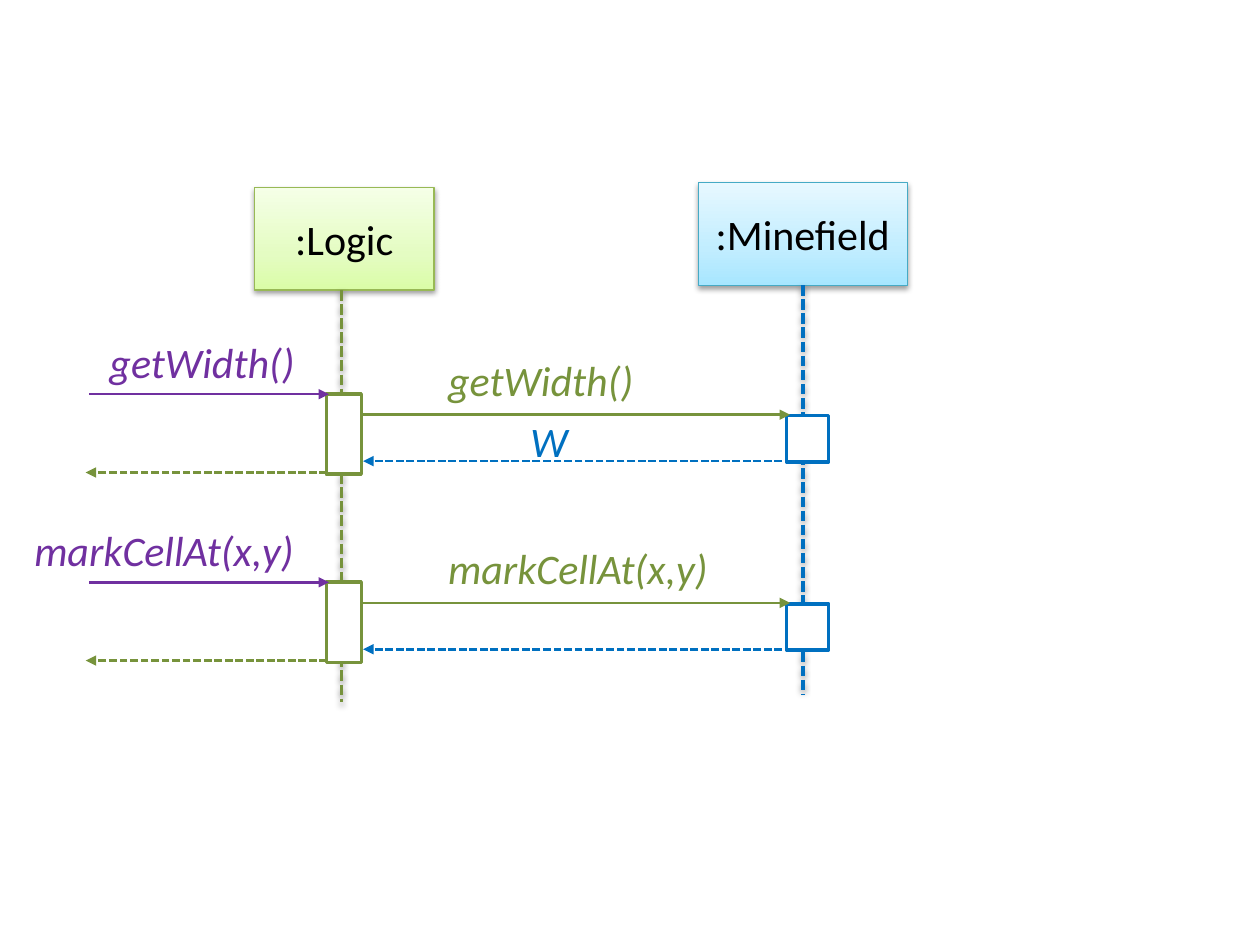
from copy import deepcopy
from dataclasses import dataclass

from pptx import Presentation
from pptx.dml.color import RGBColor
from pptx.enum.dml import MSO_LINE
from pptx.enum.shapes import MSO_CONNECTOR, MSO_SHAPE
from pptx.enum.text import MSO_ANCHOR, PP_ALIGN
from pptx.oxml import parse_xml
from pptx.oxml.ns import nsdecls, qn
from pptx.util import Pt


@dataclass(frozen=True)
class Theme:
    font: str = "Calibri"
    size: float = 24
    thin: float = 1.5
    thick: float = 2
    black: str = "000000"
    white: str = "FFFFFF"
    green: str = "77933C"
    blue: str = "0070C0"
    purple: str = "7030A0"
    lime: tuple = ("DAFDA7", "E4FCC2", "F5FFE7")
    lime_edge: str = "98B955"
    sky: tuple = ("A7E6FF", "C1EDFF", "E7F8FF")
    sky_edge: str = "46AAC5"


THEME = Theme()
rgb = RGBColor.from_string


def add_effect(shape, shadow):
    """Give a shape a soft shadow, or an empty effect list."""
    inner = (
        '<a:outerShdw blurRad="40000" dist="20000" dir="5400000" rotWithShape="0">'
        '<a:srgbClr val="000000"><a:alpha val="38000"/></a:srgbClr></a:outerShdw>'
    ) if shadow else ""
    props = shape._element.spPr
    props.append(parse_xml(f"<a:effectLst {nsdecls('a')}>{inner}</a:effectLst>"))


def add_line(slide, start, end, color, width, dashed=False, arrow=False, shadow=False):
    ends = [Pt(v) for v in (*start, *end)]
    link = slide.shapes.add_connector(MSO_CONNECTOR.STRAIGHT, *ends)
    link.line.color.rgb = rgb(color)
    link.line.width = Pt(width)
    if dashed:
        link.line.dash_style = MSO_LINE.SQUARE_DOT
    if arrow:
        stroke = link._element.spPr.find(qn("a:ln"))
        stroke.append(parse_xml(f'<a:tailEnd {nsdecls("a")} type="triangle"/>'))
    add_effect(link, shadow)


def add_rect(slide, box, edge, width):
    rect = slide.shapes.add_shape(MSO_SHAPE.RECTANGLE, *[Pt(v) for v in box])
    rect.line.color.rgb = rgb(edge)
    rect.line.width = Pt(width)
    return rect


def set_text(frame, text, color, italic=False):
    frame.word_wrap = True
    para = frame.paragraphs[0]
    para.text = text
    para.font.name = THEME.font
    para.font.size = Pt(THEME.size)
    para.font.italic = italic
    para.font.color.rgb = rgb(color)
    return para


def add_label(slide, left, top, width, text, color):
    box = slide.shapes.add_textbox(Pt(left), Pt(top), Pt(width), Pt(36))
    set_text(box.text_frame, text, color, italic=True)


def add_bar(slide, box, color):
    bar = add_rect(slide, box, color, THEME.thick)
    bar.fill.solid()
    bar.fill.fore_color.rgb = rgb(THEME.white)
    bar.shadow.inherit = False


def add_object(slide, box, name, tones, edge, axis, foot, color):
    """Named head with its dashed lifeline; axis and foot are offsets."""
    left, top, width, height = box
    head = add_rect(slide, box, edge, 0.75)
    head.fill.gradient()
    head.fill.gradient_angle = 90
    stops = head._element.spPr.find(qn("a:gradFill")).find(qn("a:gsLst"))
    stops.append(deepcopy(stops[0]))
    for stop, tone, place in zip(head.fill.gradient_stops, tones, (0, 0.35, 1)):
        stop.color.rgb = rgb(tone)
        stop.position = place
    add_effect(head, True)

    frame = head.text_frame
    frame.margin_top = frame.margin_bottom = Pt(14.4)
    frame.vertical_anchor = MSO_ANCHOR.MIDDLE
    set_text(frame, name, THEME.black).alignment = PP_ALIGN.CENTER

    x = left + axis
    add_line(slide, (x, top + height), (x, top + foot), color, THEME.thick,
             dashed=True, shadow=True)


def add_call(slide, left, top, text, indent, result=None):
    """One call into Logic, passed on to Minefield, with both returns."""
    # Activation bars
    add_bar(slide, (left + 137.5, top, 20, 46), THEME.green)
    add_bar(slide, (left + 400.5, top + 12.5, 24, 26.5), THEME.blue)

    # Arrows: from x, to x, y, colour, dashed
    arrows = (
        (2, 139, 0.25, THEME.purple, False),
        (158.5, 402.5, 12, THEME.green, False),
        (398, 158.5, 38.5, THEME.blue, True),
        (138, 0, 45, THEME.green, True),
    )
    for start, end, y, color, dashed in arrows:
        add_line(slide, (left + start, top + y), (left + end, top + y), color,
                 THEME.thin, dashed=dashed, arrow=True)

    # Labels
    add_label(slide, left + indent, top - 36.25, 131 - indent, text, THEME.purple)
    add_label(slide, left + 200, top - 26, 168.5, text, THEME.green)
    if result:
        add_label(slide, left + 247, top + 9, 44, result, THEME.blue)


def main():
    deck = Presentation()
    deck.slide_width, deck.slide_height = Pt(720), Pt(540)
    slide = deck.slides.add_slide(deck.slide_layouts[6])

    # Objects and lifelines
    add_object(slide, (399, 104.5, 119.5, 58.5), ":Minefield",
               THEME.sky, THEME.sky_edge, 59.75, 292, THEME.blue)
    add_object(slide, (145.5, 107.25, 102.5, 58.5), ":Logic",
               THEME.lime, THEME.lime_edge, 49.75, 294, THEME.green)

    # Calls, evenly spaced down the lifelines
    calls = (("getWidth()", 6.5, "W"), ("markCellAt(x,y)", -36.5, None))
    for row, (text, indent, result) in enumerate(calls):
        add_call(slide, 49, 225 + 107.5 * row, text, indent, result)

    deck.save("out.pptx")


if __name__ == "__main__":
    main()
